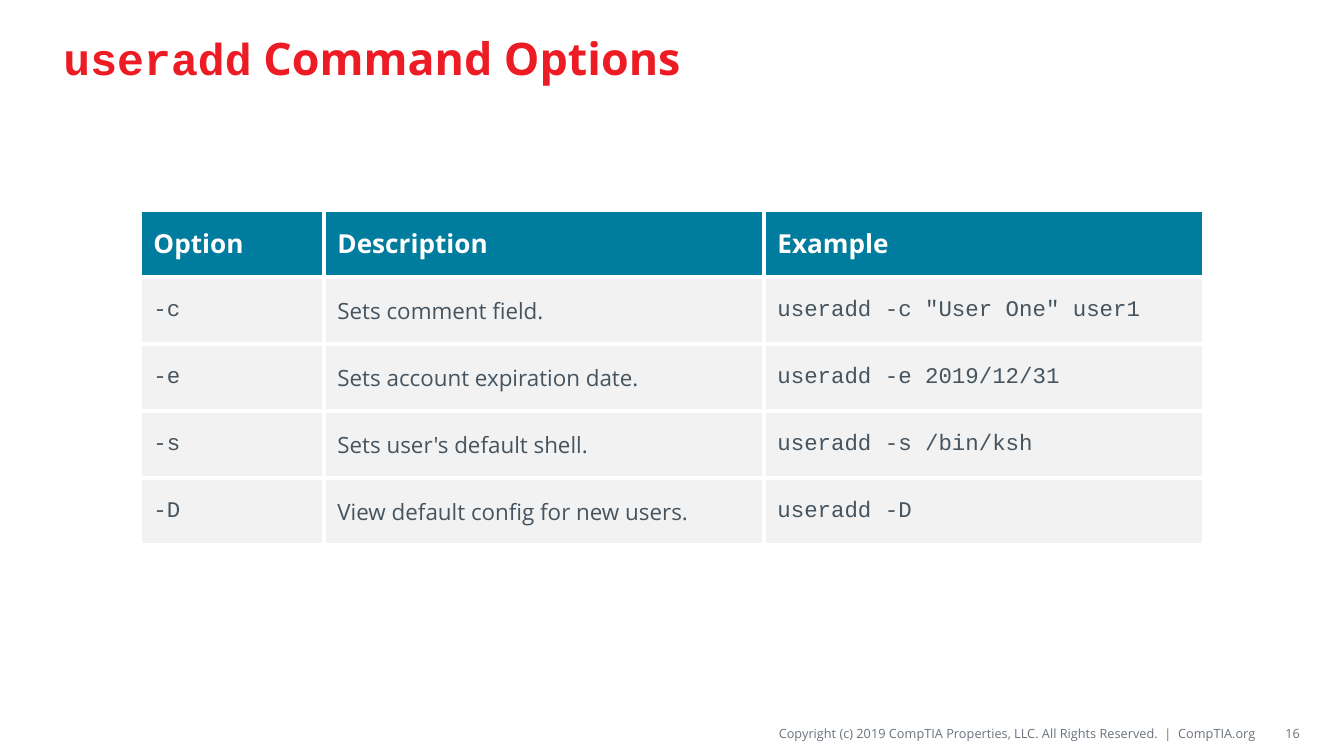
from lxml.etree import SubElement
from pptx import Presentation
from pptx.dml.color import RGBColor
from pptx.enum.text import MSO_ANCHOR as Anchor, MSO_AUTO_SIZE as AutoSize, PP_ALIGN as Align
from pptx.oxml.ns import qn
from pptx.util import Emu, Pt

RED = RGBColor(0xED, 0x1C, 0x24)
TEAL = RGBColor(0x00, 0x7C, 0x9E)
PALE = RGBColor(0xF2, 0xF2, 0xF2)
SLATE = RGBColor(0x45, 0x54, 0x5F)
GREY = RGBColor(0x69, 0x72, 0x7B)
WHITE = RGBColor(0xFF, 0xFF, 0xFF)

SANS = "Open Sans"
MONO = "Courier New"
PX = 914400 / 134.4


def px(length):
    return Emu(round(length * PX))


def add_text(paragraph, text, *, size, color, font=SANS, bold=False, align=Align.LEFT):
    paragraph.alignment = align
    run = paragraph.add_run()
    run.text = text
    run.font.name = font
    run.font.size = Pt(size)
    run.font.bold = bold
    run.font.color.rgb = color


class Deck:
    def __init__(self, width, height):
        self.presentation = Presentation()
        self.presentation.slide_width = px(width)
        self.presentation.slide_height = px(height)
        self.slide = self.presentation.slides.add_slide(self.presentation.slide_layouts[5])

    def title(self, box, parts):
        heading = self.slide.shapes.title
        heading.left, heading.top, heading.width, heading.height = map(px, box)
        frame = heading.text_frame
        frame.auto_size = AutoSize.NONE
        frame.vertical_anchor = Anchor.MIDDLE
        for text, font in parts:
            add_text(frame.paragraphs[0], text, size=24, color=RED, font=font, bold=True)

    def footer(self, box, text):
        frame = self.slide.shapes.add_textbox(*map(px, box)).text_frame
        frame.word_wrap = True
        frame.vertical_anchor = Anchor.MIDDLE
        frame.margin_left = frame.margin_right = 0
        add_text(frame.paragraphs[0], text, size=6.8, color=GREY, align=Align.RIGHT)

    def table(self, left, top, widths, row_height, header, rows, fonts):
        row_count = len(rows) + 1
        grid = self.slide.shapes.add_table(
            row_count, len(widths), px(left), px(top),
            px(sum(widths)), px(row_height * row_count)).table
        for column, width in zip(grid.columns, widths):
            column.width = px(width)
        for row in grid.rows:
            row.height = px(row_height)
        for index, text in enumerate(header):
            self.cell(grid.cell(0, index), text, TEAL, size=14, color=WHITE, bold=True)
        for number, options in enumerate(rows, 1):
            for index, (text, font) in enumerate(zip(options, fonts)):
                self.cell(grid.cell(number, index), text, PALE, size=12, color=SLATE, font=font)

    def cell(self, cell, text, fill, **style):
        cell.vertical_anchor = Anchor.MIDDLE
        properties = cell._tc.get_or_add_tcPr()
        for side in ("a:lnL", "a:lnR", "a:lnT", "a:lnB"):
            border = SubElement(properties, qn(side), w=str(Pt(2.25)))
            paint = SubElement(border, qn("a:solidFill"))
            SubElement(paint, qn("a:srgbClr"), val=str(WHITE))
        cell.fill.solid()
        cell.fill.fore_color.rgb = fill
        add_text(cell.text_frame.paragraphs[0], text, **style)

    def save(self):
        self.presentation.save("out.pptx")


def main():
    deck = Deck(1344, 756)
    deck.footer(
        (521, 718, 735, 30),
        "Copyright (c) 2019 CompTIA Properties, LLC. All Rights Reserved.  |  CompTIA.org")
    deck.title((50, 11, 1243, 93), [("useradd", MONO), (" Command Options", SANS)])
    deck.footer((1261, 718, 39, 30), "16")
    deck.table(
        140, 210, [184, 440, 440], 67,
        ["Option", "Description", "Example"],
        [
            ["-c", "Sets comment field.", 'useradd -c "User One" user1'],
            ["-e", "Sets account expiration date.", "useradd -e 2019/12/31"],
            ["-s", "Sets user's default shell.", "useradd -s /bin/ksh"],
            ["-D", "View default config for new users.", "useradd -D"],
        ],
        [MONO, SANS, MONO])
    deck.save()


if __name__ == "__main__":
    main()
